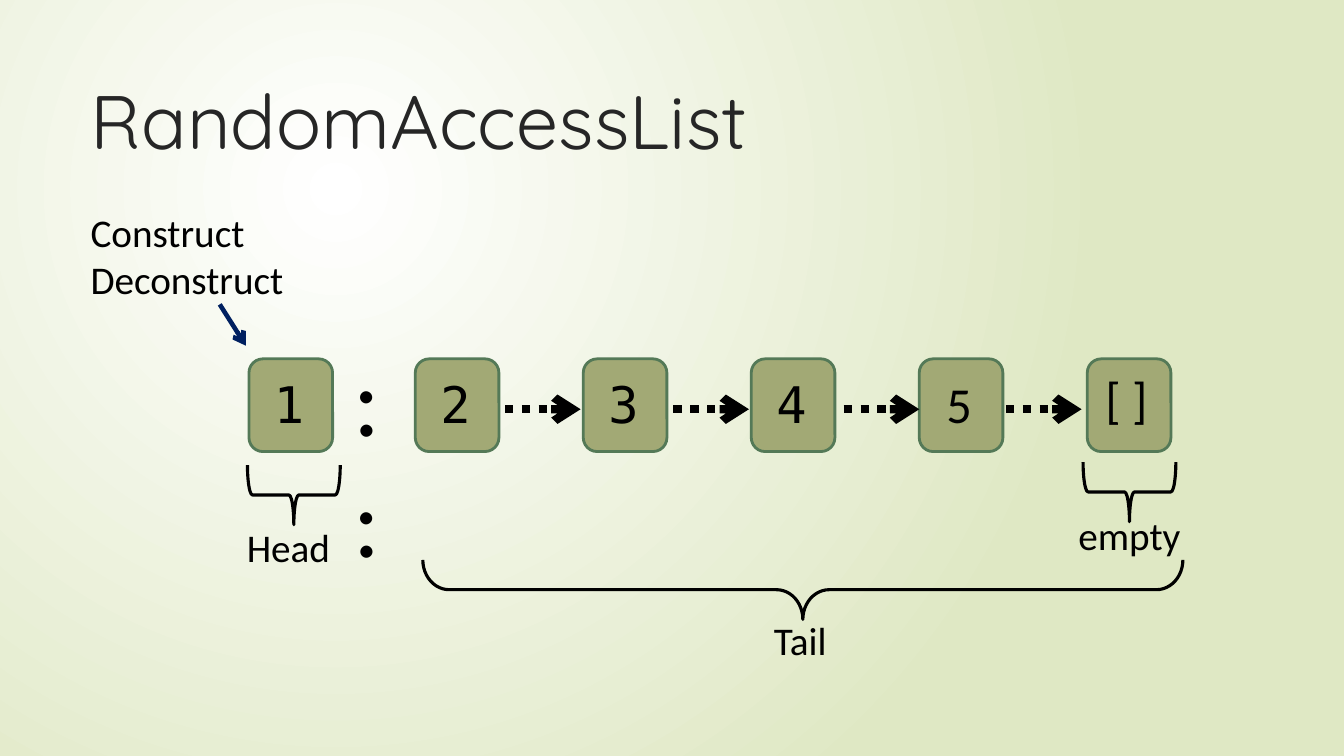
"""Build the RandomAccessList slide: a linked list with its head, tail and empty end."""
from lxml import etree
from pptx import Presentation
from pptx import util as u
from pptx.dml.color import RGBColor
from pptx.enum import dml, shapes, text
from pptx.oxml import ns

WIDTH, HEIGHT = 13.333, 7.5
WHITE = RGBColor(0xFF, 0xFF, 0xFF)
PALE_GREEN = RGBColor(0xDF, 0xE8, 0xC4)
OLIVE = RGBColor(0xA2, 0xA9, 0x75)
GREEN = RGBColor(0x54, 0x79, 0x57)
NAVY = RGBColor(0x00, 0x20, 0x60)
CHARCOAL = RGBColor(0x26, 0x26, 0x26)
BLACK = RGBColor(0x00, 0x00, 0x00)
BODY, MONO, DISPLAY = "Calibri", "DejaVu Sans Mono", "Quicksand"

TITLE = "RandomAccessList"
HEAD_LEFT, TAIL_LEFT, STEP = 2.47, 4.12, WIDTH / 8
NODE_TOP, NODE_WIDTH, NODE_HEIGHT = 3.56, 0.83, 0.92
# label, font, label offset from the node, label width
NODES = [
    ("1", MONO, 0.15, 0.09, 0.67),
    ("2", MONO, 0.15, 0.09, 0.67),
    ("3", MONO, 0.15, 0.09, 0.67),
    ("4", MONO, 0.15, 0.09, 0.75),
    ("5", BODY, 0.17, 0.09, 0.75),
    ("[ ]", BODY, 0.08, 0.04, 0.75),
]
LINK_STARTS, LINK_LENGTH, LINK_Y = [5.01, 6.68, 8.37, 9.98], 0.75, 4.06
CAPTIONS = [
    (["Construct", "Deconstruct"], 28, (0.8, 2.02, 2.41, 1.04)),
    (["Head"], 28, (2.35, 5.14, 1.05, 0.57)),
    (["empty"], 28, (10.6, 5.02, 1.22, 0.57)),
    (["Tail"], 28, (7.58, 6.07, 0.77, 0.57)),
    (["::"], 72, (3.41, 3.28, 0.67, 1.31)),
]
BRACE_DEPTH = 0.59
BRACES = [
    (2.62, 4.45, NODE_HEIGHT, None),
    (10.91, 4.42, NODE_HEIGHT, None),
    (7.67, 2.08, 7.54, 0.443),
]


def inches(*lengths):
    return [u.Inches(length) for length in lengths]


def write(frame, lines, font, size, color):
    frame.word_wrap = True
    for index, line in enumerate(lines):
        para = frame.add_paragraph() if index else frame.paragraphs[0]
        para.alignment = text.PP_ALIGN.LEFT
        span = para.add_run()
        span.text = line
        span.font.name, span.font.size = font, u.Pt(size)
        span.font.color.rgb = color


def add_label(page, lines, font, size, place):
    box = page.shapes.add_textbox(*inches(*place))
    write(box.text_frame, lines, font, size, BLACK)


def add_node(page, left):
    node = page.shapes.add_shape(
        shapes.MSO_SHAPE.ROUNDED_RECTANGLE,
        *inches(left, NODE_TOP, NODE_WIDTH, NODE_HEIGHT))
    node.shadow.inherit = False
    node.fill.solid()
    node.fill.fore_color.rgb = OLIVE
    node.line.color.rgb, node.line.width = GREEN, u.Pt(2)


def add_arrow(page, start, end, color, weight, dash=None):
    arrow = page.shapes.add_connector(
        shapes.MSO_CONNECTOR.STRAIGHT, *inches(*start, *end))
    arrow.line.color.rgb, arrow.line.width = color, u.Pt(weight)
    if dash:
        arrow.line.dash_style = dash
    properties = arrow.element.spPr
    outline = properties.find(ns.qn("a:ln"))
    etree.SubElement(outline, ns.qn("a:tailEnd"), type="arrow")
    etree.SubElement(properties, ns.qn("a:effectLst"))


def add_brace(page, left, top, span, curve):
    brace = page.shapes.add_shape(
        shapes.MSO_SHAPE.LEFT_BRACE, *inches(left, top, BRACE_DEPTH, span))
    brace.rotation = 270
    brace.shadow.inherit = False
    brace.fill.background()
    brace.line.color.rgb, brace.line.width = BLACK, u.Pt(2.25)
    if curve:
        brace.adjustments[0] = curve


def paint_background(page):
    fill = page.background.fill
    fill.gradient()
    for stop, color in zip(fill.gradient_stops, (WHITE, PALE_GREEN)):
        stop.color.rgb = color
    linear = next(page.element.iter(ns.qn("a:lin")))
    radial = etree.Element(ns.qn("a:path"), path="circle")
    etree.SubElement(radial, ns.qn("a:fillToRect"),
                     l="50000", t="50000", r="100000", b="100000")
    linear.getparent().replace(linear, radial)


def main():
    deck = Presentation()
    deck.slide_width, deck.slide_height = inches(WIDTH, HEIGHT)
    page = deck.slides.add_slide(deck.slide_layouts[5])
    paint_background(page)

    title = page.shapes.title
    title.left, title.top, title.width, title.height = inches(0.8, 0.68, 11.74, 1.4)
    title.text_frame.vertical_anchor = text.MSO_ANCHOR.TOP
    title.text_frame.auto_size = text.MSO_AUTO_SIZE.NONE
    write(title.text_frame, [TITLE], DISPLAY, 54, CHARCOAL)

    for index, (label, font, across, down, width) in enumerate(NODES):
        left = TAIL_LEFT + (index - 1) * STEP if index else HEAD_LEFT
        add_node(page, left)
        add_label(page, [label], font, 36,
                  (left + across, NODE_TOP + down, width, 0.71))
    for start in LINK_STARTS:
        add_arrow(page, (start, LINK_Y), (start + LINK_LENGTH, LINK_Y),
                  BLACK, 6, dml.MSO_LINE.ROUND_DOT)
    add_arrow(page, (2.18, 3.02), (2.44, 3.43), NAVY, 3.25)
    for brace in BRACES:
        add_brace(page, *brace)
    for lines, size, place in CAPTIONS:
        add_label(page, lines, BODY, size, place)

    deck.save("out.pptx")


if __name__ == "__main__":
    main()
